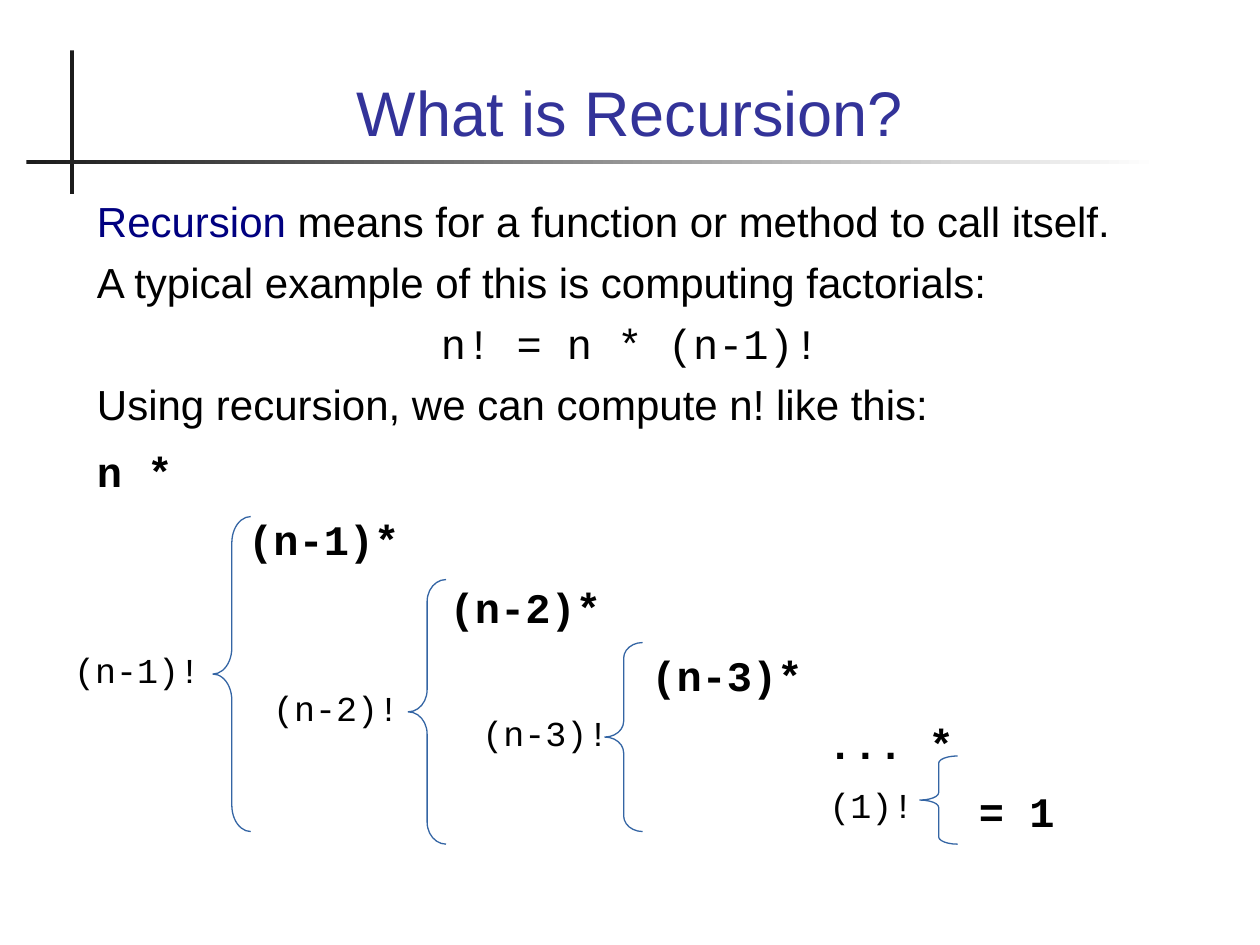
from dataclasses import dataclass

from lxml import etree
from pptx import Presentation
from pptx.dml.color import RGBColor
from pptx.enum.shapes import MSO_SHAPE
from pptx.enum.text import MSO_ANCHOR, MSO_AUTO_SIZE, PP_ALIGN
from pptx.oxml.ns import qn
from pptx.util import Pt

RECT, BRACE = MSO_SHAPE.RECTANGLE, MSO_SHAPE.LEFT_BRACE
TOP, BOTTOM = MSO_ANCHOR.TOP, MSO_ANCHOR.BOTTOM
LEFT, CENTER, RIGHT = PP_ALIGN.LEFT, PP_ALIGN.CENTER, PP_ALIGN.RIGHT
NO_FIT = MSO_AUTO_SIZE.NONE


@dataclass(frozen=True)
class Theme:
    """Colours, fonts and type sizes of the slide."""
    title: RGBColor = RGBColor(0x33, 0x33, 0x99)
    term: RGBColor = RGBColor(0x00, 0x00, 0x80)
    text: RGBColor = RGBColor(0x00, 0x00, 0x00)
    rule: RGBColor = RGBColor(0x1C, 0x1C, 0x1C)
    paper: RGBColor = RGBColor(0xFF, 0xFF, 0xFF)
    brace: RGBColor = RGBColor(0x34, 0x65, 0xA4)
    sans: str = "Arial"
    mono: str = "Courier New"
    title_size: int = 36
    body_size: int = 24
    label_size: int = 20


THEME = Theme()
CODE_CHAR = 0.6 * THEME.body_size

PROSE = [
    ([("Recursion", THEME.term),
      (" means for a function or method to call itself.", THEME.text)], THEME.sans, LEFT),
    ([("A typical example of this is computing factorials:", THEME.text)], THEME.sans, LEFT),
    ([("n! = n * (n-1)!", THEME.text)], THEME.mono, CENTER),
    ([("Using recursion, we can compute n! like this:", THEME.text)], THEME.sans, LEFT),
]
STEPS = [("n *", 0), ("(n-1)*", 6), ("(n-2)*", 14), ("(n-3)*", 22), ("... *", 29), ("= 1", 35)]
BRACES = [(121.7, 295.2, 21.6, 180), (233.3, 331.2, 21.6, 151.2),
          (345.6, 367.2, 21.6, 108), (525.6, 432, 21.6, 50.4)]
LABELS = [("(n-1)!", (35.3, 367.2, 86.4, 36), LEFT), ("(n-2)!", (149, 388.8, 86.4, 36), LEFT),
          ("(n-3)!", (268.6, 403.2, 86.4, 36), LEFT), ("(1)!", (457.2, 444.2, 72, 31), RIGHT)]


def assign(obj, values):
    """Set each attribute of an object from a dict."""
    for name, value in values.items():
        setattr(obj, name, value)


def place(sp, box):
    """Move and size a shape to a box in points."""
    assign(sp, dict(zip(("left", "top", "width", "height"), map(Pt, box))))


def prepare_frame(sp, anchor=TOP):
    """Give a text frame its wrapping, anchor and margins."""
    tf = sp.text_frame
    assign(tf, {"word_wrap": True, "auto_size": NO_FIT, "vertical_anchor": anchor,
                "margin_left": Pt(7.2), "margin_right": Pt(7.2),
                "margin_top": Pt(3.6), "margin_bottom": Pt(3.6)})
    return tf


def add_run(p, text, font, size, color, bold=False):
    """Append a formatted run to a paragraph."""
    r = p.add_run()
    r.text = text
    assign(r.font, {"name": font, "size": Pt(size), "bold": bold})
    r.font.color.rgb = color


def add_rules(slide, box):
    """Draw the upright bar and the fading rule that cross in a box."""
    x, y, w, h = box
    bar = slide.shapes.add_shape(RECT, Pt(x + 25), Pt(y), Pt(2.2), Pt(h))
    rule = slide.shapes.add_shape(RECT, Pt(x), Pt(y + 62.6), Pt(w), Pt(2.2))
    for sp in (bar, rule):
        sp.shadow.inherit = False
        sp.line.fill.background()
    bar.fill.solid()
    bar.fill.fore_color.rgb = THEME.rule
    rule.fill.gradient()
    rule.fill.gradient_angle = 0
    for stop, color in zip(rule.fill.gradient_stops, (THEME.rule, THEME.paper)):
        stop.color.rgb = color


def add_title(slide, box):
    """Fill the title placeholder."""
    sp = slide.shapes.title
    place(sp, box)
    p = prepare_frame(sp, BOTTOM).paragraphs[0]
    p.alignment = CENTER
    add_run(p, "What is Recursion?", THEME.sans, THEME.title_size, THEME.title)


def add_line(tf, first, align, gap, indent=0):
    """Return a body paragraph without a bullet."""
    p = tf.paragraphs[0] if first else tf.add_paragraph()
    pPr = p._p.get_or_add_pPr()
    pPr.set("marL", str(Pt(indent)))
    pPr.set("indent", "0")
    etree.SubElement(pPr, qn("a:buNone"))
    assign(p, {"alignment": align, "space_before": Pt(0 if first else gap)})
    return p


def add_body(slide, box):
    """Fill the body placeholder with the prose and the stepped product."""
    sp = slide.placeholders[1]
    place(sp, box)
    tf = prepare_frame(sp)
    for i, (runs, font, align) in enumerate(PROSE):
        p = add_line(tf, i == 0, align, 6)
        for text, color in runs:
            add_run(p, text, font, THEME.body_size, color)
    for text, chars in STEPS:
        p = add_line(tf, False, LEFT, 10, chars * CODE_CHAR)
        add_run(p, text, THEME.mono, THEME.body_size, THEME.text, True)


def add_brace(slide, box):
    """Draw a left brace whose curves are a twelfth of its height."""
    x, y, w, h = box
    sp = slide.shapes.add_shape(BRACE, Pt(x), Pt(y), Pt(w), Pt(h))
    sp.shadow.inherit = False
    sp.adjustments[0] = h / 12 / w
    sp.fill.background()
    sp.line.color.rgb = THEME.brace
    sp.line.width = Pt(0.75)


def add_label(slide, text, box, align):
    """Add a factorial label beside its brace."""
    sp = slide.shapes.add_textbox(*map(Pt, box))
    p = prepare_frame(sp).paragraphs[0]
    p.alignment = align
    add_run(p, text, THEME.mono, THEME.label_size, THEME.text)


def main():
    """Build and save the slide."""
    prs = Presentation()
    assign(prs, {"slide_width": Pt(720), "slide_height": Pt(540)})
    slide = prs.slides.add_slide(prs.slide_layouts[1])
    add_rules(slide, (15.1, 28.8, 647.3, 82.1))
    add_title(slide, (48.2, 20.2, 623.6, 68.4))
    add_body(slide, (48.2, 108, 623.6, 396))
    for box in BRACES:
        add_brace(slide, box)
    for text, box, align in LABELS:
        add_label(slide, text, box, align)
    prs.save("out.pptx")


if __name__ == "__main__":
    main()
